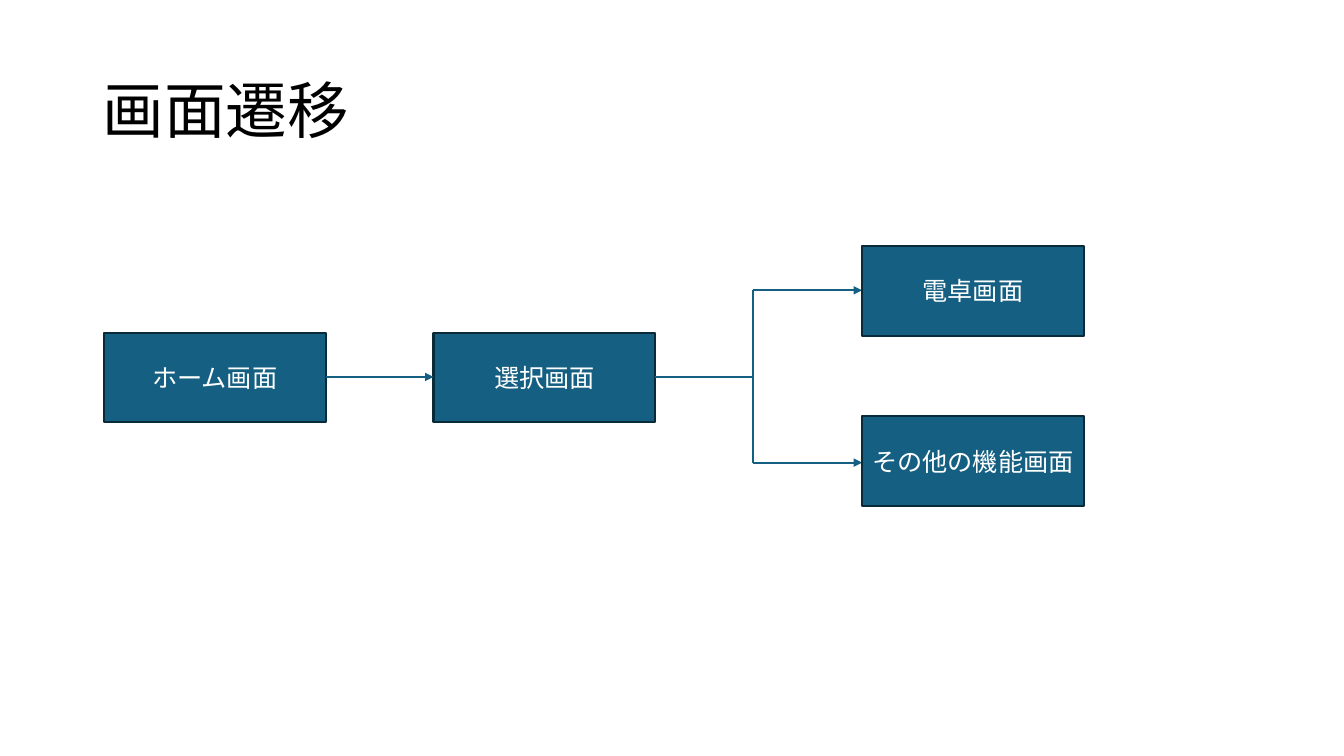
from lxml import etree
from pptx import Presentation
from pptx import util as u
from pptx.dml.color import RGBColor
from pptx.enum import shapes, text
from pptx.oxml.ns import qn

BLACK = RGBColor(0x00, 0x00, 0x00)
WHITE = RGBColor(0xFF, 0xFF, 0xFF)
TEAL = RGBColor(0x15, 0x60, 0x82)
DARK_TEAL = RGBColor(0x09, 0x2A, 0x39)

BOX_W, BOX_H = 2.2, 0.89


class FlowSlide:
    font = "Noto Sans CJK JP"
    line_width = u.Pt(1.5)

    def __init__(self, prs):
        self.s = prs.slides.add_slide(prs.slide_layouts[6])

    def add_label(self, sp, words, size, color, **paragraph_format):
        tf = sp.text_frame
        frame_format = {
            "word_wrap": True,
            "vertical_anchor": text.MSO_ANCHOR.MIDDLE,
        }
        for name, value in frame_format.items():
            setattr(tf, name, value)
        p = tf.paragraphs[0]
        for name, value in paragraph_format.items():
            setattr(p, name, value)
        r = p.add_run()
        r.text = words
        for name, value in {"name": self.font, "size": u.Pt(size)}.items():
            setattr(r.font, name, value)
        r.font.color.rgb = color
        # East Asian text takes its typeface from a:ea
        etree.SubElement(r.font._element, qn("a:ea"), typeface=self.font)

    def title(self, words, x, y, w, h):
        sp = self.s.shapes.add_textbox(*map(u.Inches, (x, y, w, h)))
        self.add_label(sp, words, 44, BLACK, line_spacing=0.9)

    def box(self, words, x, y):
        sp = self.s.shapes.add_shape(
            shapes.MSO_SHAPE.RECTANGLE, *map(u.Inches, (x, y, BOX_W, BOX_H)))
        sp.shadow.inherit = False
        sp.fill.solid()
        sp.fill.fore_color.rgb = TEAL
        sp.line.color.rgb = DARK_TEAL
        sp.line.width = self.line_width
        sp.text_frame.margin_left = sp.text_frame.margin_right = u.Inches(0.05)
        self.add_label(sp, words, 18, WHITE, alignment=text.PP_ALIGN.CENTER)

    def line(self, x1, y1, x2, y2, arrow=False):
        sp = self.s.shapes.add_connector(
            shapes.MSO_CONNECTOR.STRAIGHT, *map(u.Inches, (x1, y1, x2, y2)))
        sp.line.color.rgb = TEAL
        sp.line.width = self.line_width
        sp_pr = sp._element.spPr
        if arrow:
            etree.SubElement(sp_pr.find(qn("a:ln")), qn("a:tailEnd"), type="triangle")
        etree.SubElement(sp_pr, qn("a:effectLst"))


def main():
    prs = Presentation()
    prs.slide_width, prs.slide_height = u.Inches(13.33), u.Inches(7.5)
    slide = FlowSlide(prs)

    slide.title("画面遷移", 0.92, 0.4, 11.5, 1.45)

    # Home screen leads to the selection screen
    home_x, select_x, target_x = 1.03, 4.3, 8.55
    main_y, axis_y, fork_x = 3.3, 3.74, 7.47
    slide.box("ホーム画面", home_x, main_y)
    slide.box("選択画面", select_x, main_y)
    slide.line(home_x + BOX_W, axis_y, select_x, axis_y, arrow=True)

    # Selection screen forks to the two function screens
    slide.line(select_x + BOX_W, axis_y, fork_x, axis_y)
    targets = [("電卓画面", 2.44, 2.88), ("その他の機能画面", 4.13, 4.59)]
    for words, box_y, arrow_y in targets:
        slide.line(fork_x, axis_y, fork_x, arrow_y)
        slide.line(fork_x, arrow_y, target_x, arrow_y, arrow=True)
        slide.box(words, target_x, box_y)

    prs.save("out.pptx")


if __name__ == "__main__":
    main()
